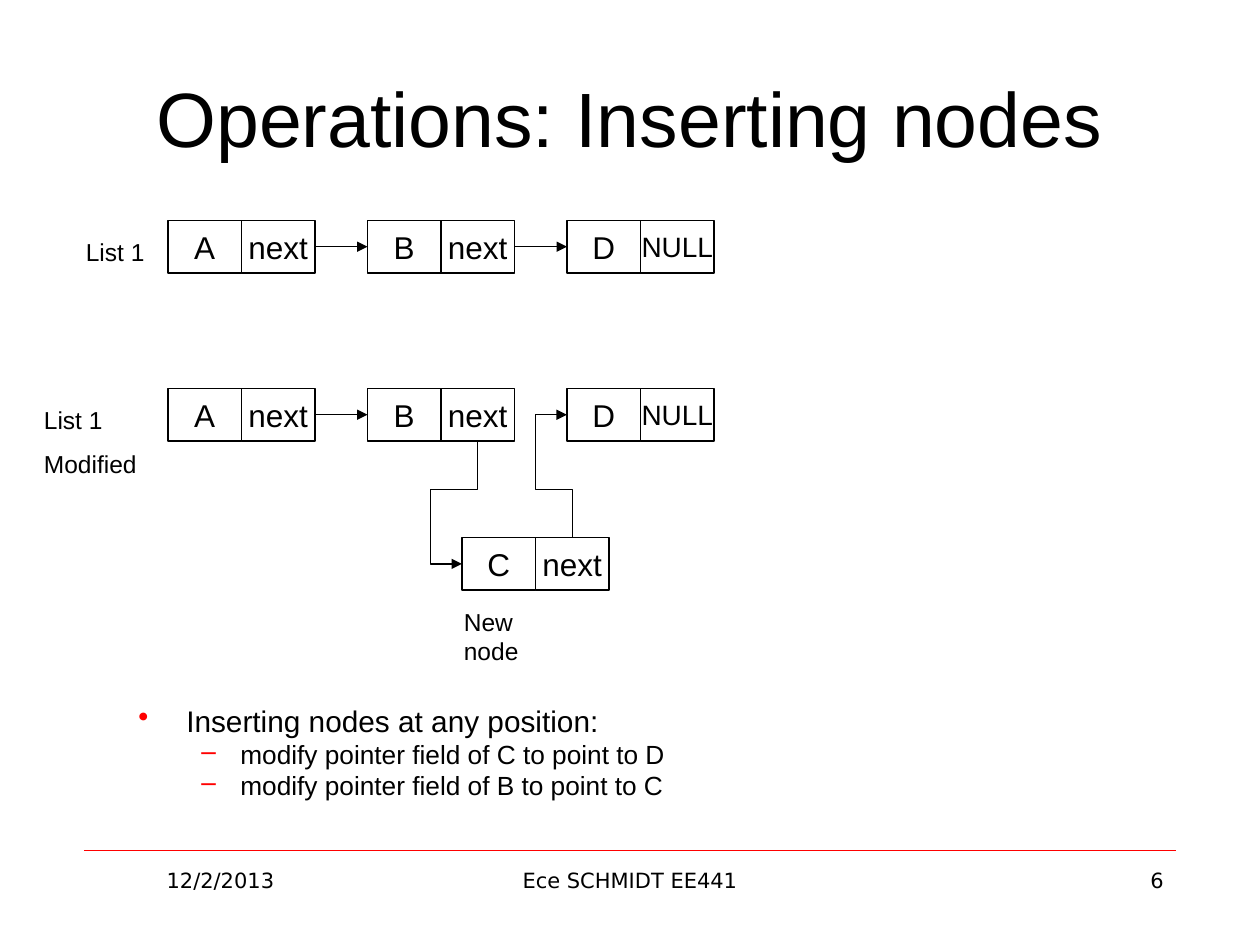
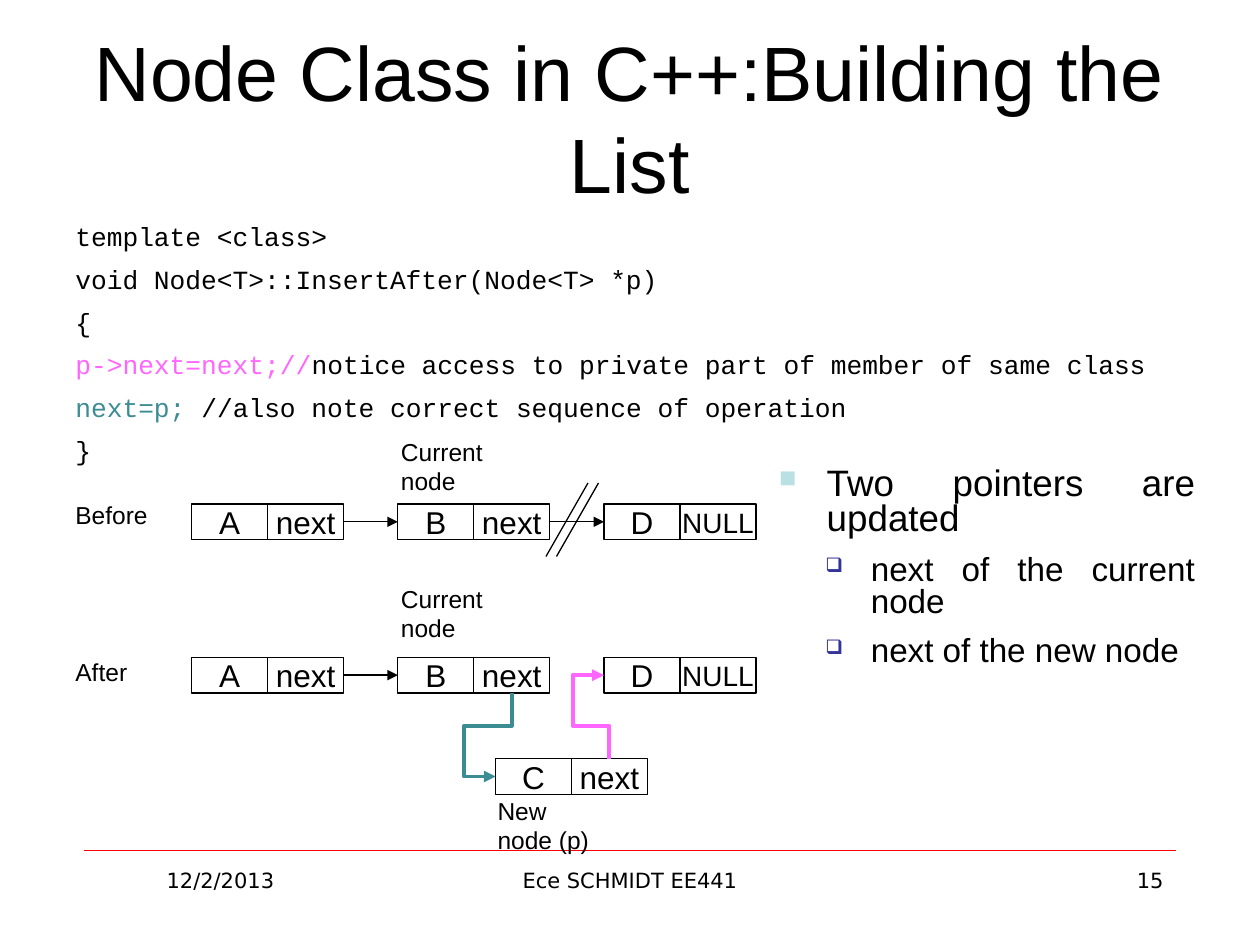
from dataclasses import dataclass, replace
from lxml.etree import SubElement as Sub
from pptx import Presentation
from pptx.dml.color import RGBColor as RGB
from pptx.enum.shapes import MSO_CONNECTOR as Conn, MSO_SHAPE as Shape
from pptx.enum.text import MSO_ANCHOR as Anchor, PP_ALIGN as Align
from pptx.oxml.ns import qn
from pptx.util import Inches, Pt

BLACK = RGB(0x00, 0x00, 0x00)
RED = RGB(0xFF, 0x00, 0x00)
PINK = RGB(0xFF, 0x66, 0xFF)
TEAL = RGB(0x3C, 0x8C, 0x93)
PALE = RGB(0xBB, 0xE0, 0xE3)
NAVY = RGB(0x33, 0x33, 0x99)

# Grid of 120 columns by 90 rows; boxes are (left, top, width, height)
WIDE, HIGH = Inches(10), Inches(7.5)
COL, ROW = WIDE / 120, HIGH / 90


@dataclass(frozen=True)
class Look:
    size: float
    font: str = "Arial"
    align: Align = Align.LEFT
    left: float = 0      # inches to the text
    hang: float = 0      # inches back to the bullet
    line: float = 1
    before: float = 0
    after: float = 0
    mark: str = ""
    tint: RGB = BLACK
    scale: int = 100
    level: int = 0


TITLE = Look(44, align=Align.CENTER)
FOOT = Look(12, "DejaVu Sans", Align.CENTER)
LABEL = Look(14, before=8)
CELL = Look(18, align=Align.CENTER)
POINT = Look(17, left=0.38, hang=0.38, line=0.8, before=3.5, mark="•", tint=RED)
DASH = replace(POINT, size=15, left=0.81, hang=0.31, mark="–", level=1)
CODE = Look(15, "Courier New", Align.JUSTIFY, 0.38, 0.38, 0.8, 5, 5)
SQUARE = replace(CODE, size=21, font="Arial", mark="■", tint=PALE, scale=65)
CHECK = replace(SQUARE, size=19, left=0.73, hang=0.36, mark="❑", tint=NAVY,
                scale=60, level=1)


def place(box):
    x, y, w, h = box
    return round(x * COL), round(y * ROW), round(w * COL), round(h * ROW)


# Text
def style(para, look, first):
    props = para._p.get_or_add_pPr()
    para.level = look.level
    if look.left:
        props.set("marL", str(Inches(look.left)))
        props.set("indent", str(-Inches(look.hang)))
    if look.mark:
        Sub(Sub(props, qn("a:buClr")), qn("a:srgbClr"), val=str(look.tint))
        Sub(props, qn("a:buSzPct"), val=str(look.scale * 1000))
        Sub(props, qn("a:buChar"), char=look.mark)
    para.alignment = look.align
    para.line_spacing = look.line
    para.space_before = Pt(0 if first else look.before)
    para.space_after = Pt(look.after)
    para.font.name = look.font
    para.font.size = Pt(look.size)
    para.font.color.rgb = BLACK


def fill(frame, items):
    """Each item is (look, text) or (look, [(text, colour), ...])."""
    for i, (look, text) in enumerate(items):
        para = frame.add_paragraph() if i else frame.paragraphs[0]
        style(para, look, i == 0)
        if isinstance(text, str):
            para.add_run().text = text
            continue
        for part, hue in text:
            run = para.add_run()
            run.text = part
            run.font.color.rgb = hue


def write(slide, box, *items, anchor=Anchor.TOP):
    frame = slide.shapes.add_textbox(*place(box)).text_frame
    frame.word_wrap = True
    frame.vertical_anchor = anchor
    fill(frame, items)


# Lines and arrows
def ink(link, hue=BLACK, width=0.75, arrow=False):
    link.line.color.rgb = hue
    link.line.width = Pt(width)
    if arrow:
        Sub(link.line._ln, qn("a:tailEnd"), type="triangle")
    Sub(link.element.spPr, qn("a:effectLst"))


def rule(slide, x0, y0, x1, y1, **pen):
    ends = round(x0 * COL), round(y0 * ROW), round(x1 * COL), round(y1 * ROW)
    ink(slide.shapes.add_connector(Conn.STRAIGHT, *ends), **pen)


def join(slide, kind, start, side, end):
    link = slide.shapes.add_connector(kind, 0, 0, 0, 0)
    link.begin_connect(start, side)
    link.end_connect(end, 1)
    return link


def bend(slide, start, side, end, hue, width):
    """Elbow that enters the end cell from a lane three columns to its left."""
    link = join(slide, Conn.ELBOW, start, side, end)
    x0, y0, x1, y1 = link.begin_x, link.begin_y, link.end_x, link.end_y
    long, short = abs(y1 - y0), abs(x1 - x0)
    link.left, link.top = (x0 + x1 - long) // 2, (y0 + y1 - short) // 2
    link.width, link.height = long, short
    frame = link.element.spPr.find(qn("a:xfrm"))
    frame.set("rot", "5400000")
    frame.set("flipH", "1" if y1 < y0 else "0")
    frame.set("flipV", "0")
    geom = link.element.spPr.find(qn("a:prstGeom"))
    geom.set("prst", "bentConnector4")
    turns = geom.find(qn("a:avLst"))
    lane = (x0 - x1 + 3 * COL) / short
    for name, share in (("adj1", 0.393), ("adj2", lane)):
        Sub(turns, qn("a:gd"), name=name, fmla=f"val {round(share * 100000)}")
    ink(link, hue, width, True)


# Linked list
def node(slide, box, *words):
    x, y, w, h = box
    cells = []
    for i, word in enumerate(words):
        cell = slide.shapes.add_shape(
            Shape.RECTANGLE, *place((x + i * w / 2, y, w / 2, h)))
        cell.shadow.inherit = False
        cell.fill.background()
        cell.line.color.rgb = BLACK
        cell.line.width = Pt(0.75)
        frame = cell.text_frame
        frame.word_wrap = False
        frame.vertical_anchor = Anchor.MIDDLE
        fill(frame, [(replace(CELL, size=16) if word == "NULL" else CELL, word)])
        cells.append(cell)
    return cells


def chain(slide, box, arrows):
    """Nodes A, B and D, 14 parts wide with gaps of 5 parts."""
    x, y, w, h = box
    part = w / 52
    words = ("A", "next"), ("B", "next"), ("D", "NULL")
    nodes = [node(slide, (x + i * 19 * part, y, 14 * part, h), *pair)
             for i, pair in enumerate(words)]
    for left, right in list(zip(nodes, nodes[1:]))[:arrows]:
        ink(join(slide, Conn.STRAIGHT, left[1], 3, right[0]), arrow=True)
    return nodes


def insert(slide, box, into=BLACK, out=BLACK, width=0.75):
    """The chain with node C hung below and linked between B and D."""
    x, y, w, h = box
    _, b, d = chain(slide, box, 1)
    part = w / 52
    c = node(slide, (x + 28 * part, y + 2.84 * h, 14 * part, h), "C", "next")
    bend(slide, b[1], 2, c[0], into, width)
    bend(slide, c[1], 0, d[0], out, width)


# Title, footer and rule of every slide
def base(deck, title, number):
    slide = deck.slides.add_slide(deck.slide_layouts[6])
    rule(slide, 8, 81, 112, 81, hue=RED, width=0.25)
    write(slide, (6, 3.6, 108, 15), (TITLE, title), anchor=Anchor.MIDDLE)
    write(slide, (8, 82, 26, 6.2), (FOOT, "12/2/2013"))
    write(slide, (41, 82, 38, 6.2), (FOOT, "Ece SCHMIDT EE441"))
    write(slide, (86, 82, 26, 6.2), (replace(FOOT, align=Align.RIGHT), number))
    return slide


def steps(deck):
    slide = base(deck, "Operations: Inserting nodes", "6")
    write(slide, (12, 67, 56, 12),
          (POINT, "Inserting nodes at any position:"),
          (DASH, "modify pointer field of C to point to D"),
          (DASH, "modify pointer field of B to point to C"))
    write(slide, (7, 22, 11, 4), (LABEL, "List 1"))
    write(slide, (3, 38, 15, 8.2), (LABEL, "List 1"), (LABEL, "Modified"))
    write(slide, (43, 57.2, 11, 6.8), (LABEL, "New node"))
    chain(slide, (16, 21, 52, 5), 2)
    insert(slide, (16, 37, 52, 5))


def build(deck):
    slide = base(deck, "Node Class in C++:Building the List", "15")
    # Code
    lines = (
        "template <class>",
        "void Node<T>::InsertAfter(Node<T> *p)",
        "{",
        [("p->next=next;//", PINK),
         ("notice access to private part of member of same class", BLACK)],
        [("next=p; ", TEAL),
         ("//also note correct sequence of operation", BLACK)],
        "}")
    write(slide, (6, 21, 108, 26), *((CODE, line) for line in lines))
    # Lists before and after
    chain(slide, (18.25, 48, 53.75, 3.4), 2)
    insert(slide, (18.25, 62.6, 53.75, 3.4), TEAL, PINK, 2.25)
    for x in (56, 57):
        rule(slide, x, 46, x - 4, 53)
    for x, y, text in ((6, 47, "Before"), (6, 62, "After"),
                       (37, 41, "Current node"), (37, 55, "Current node"),
                       (46.2, 75.2, "New node (p)")):
        write(slide, (x, y, 11.4, 6.8), (LABEL, text))
    # Remarks
    write(slide, (73, 44, 42, 26),
          (SQUARE, "Two pointers are updated"),
          (CHECK, "next of the current node"),
          (CHECK, "next of the new node"))


def main():
    deck = Presentation()
    deck.slide_width, deck.slide_height = WIDE, HIGH
    steps(deck)
    build(deck)
    deck.save("out.pptx")


if __name__ == "__main__":
    main()
